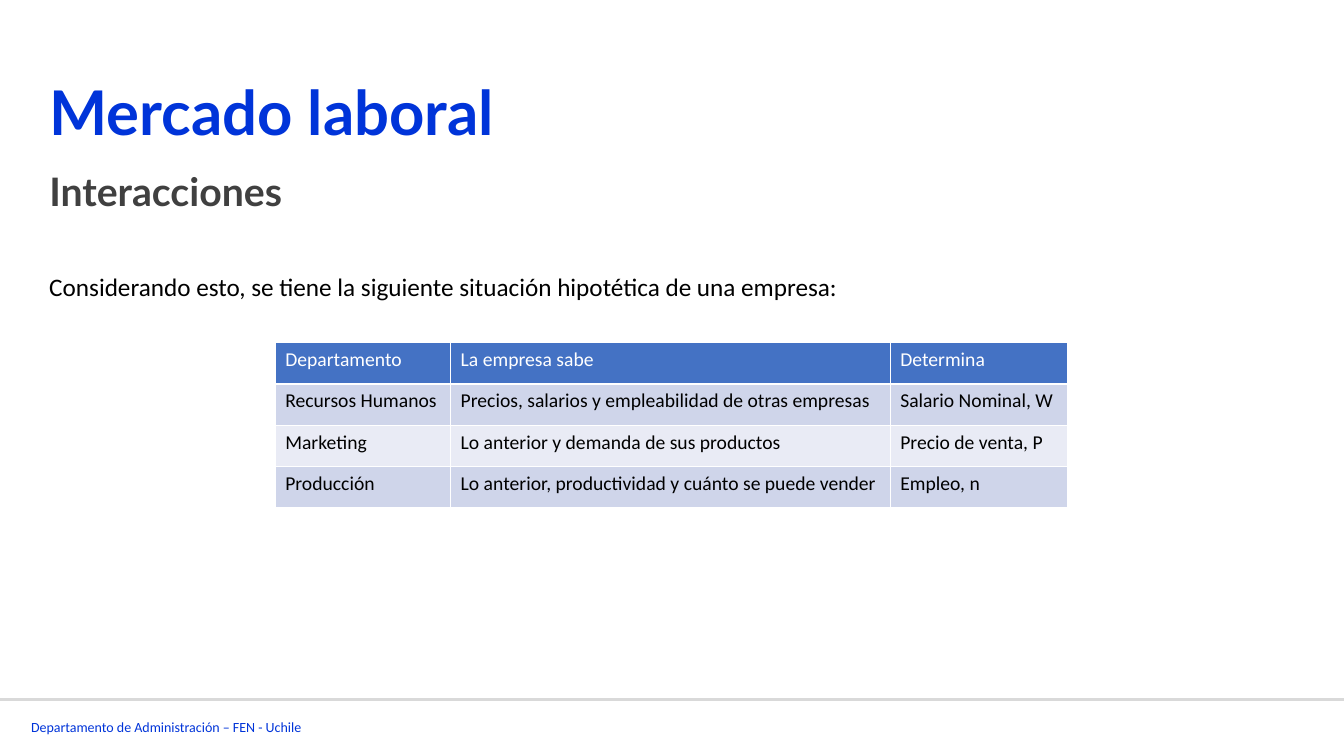
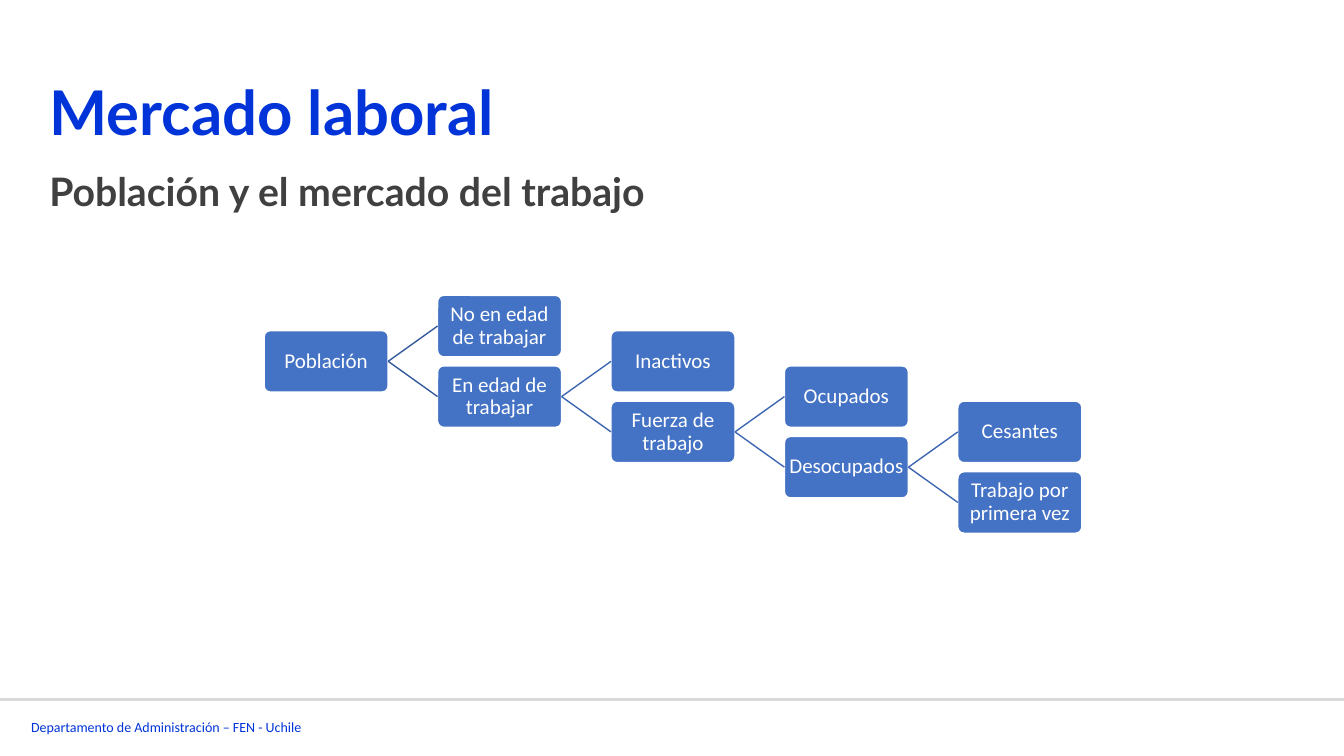
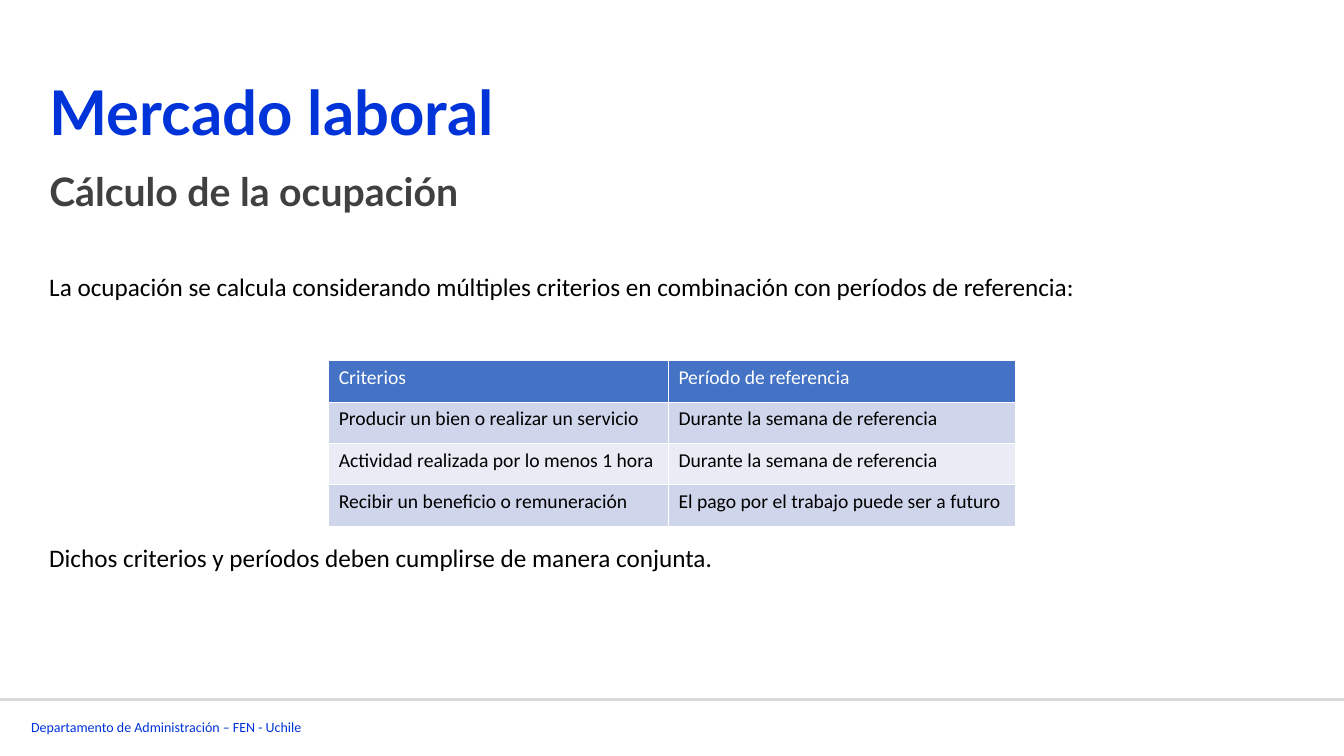
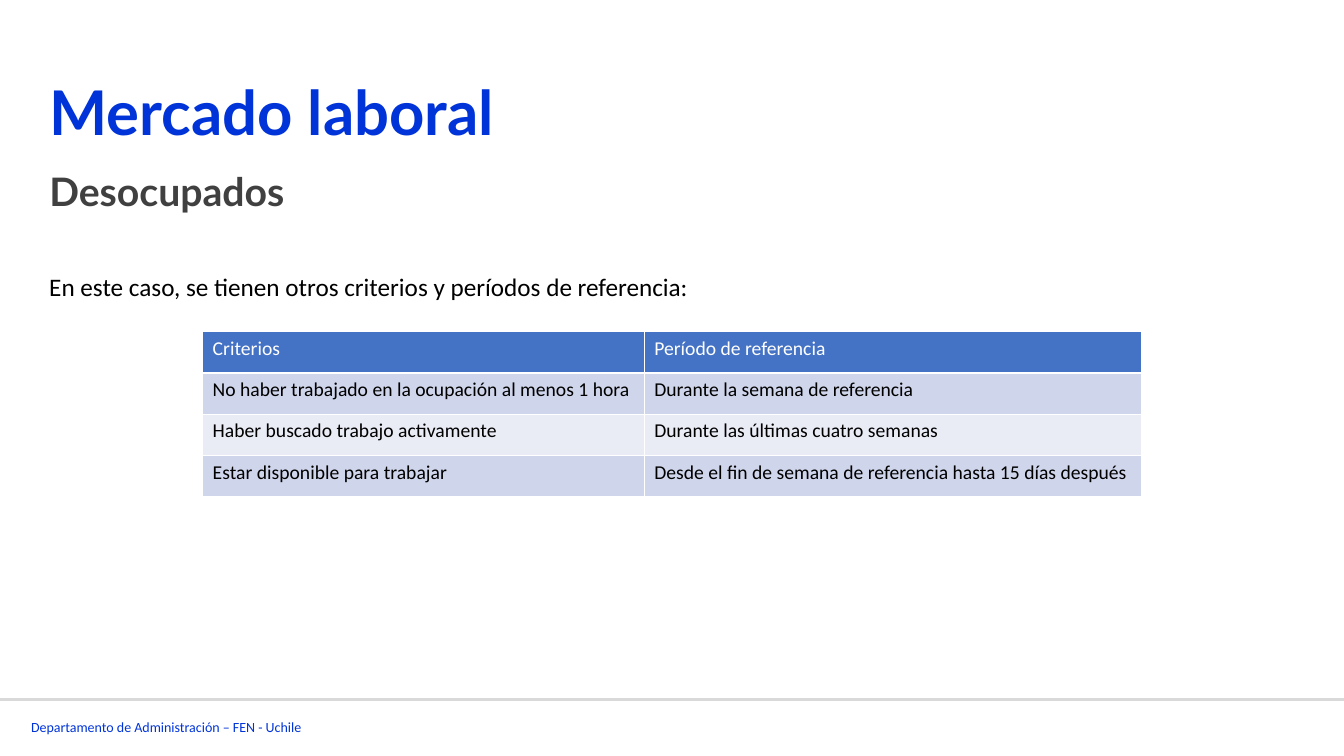
import pptx
import pptx.dml.color
import pptx.enum.shapes
import pptx.enum.text
import pptx.oxml
import pptx.oxml.ns
import pptx.util
from lxml import etree

Inches = pptx.util.Inches
Pt = pptx.util.Pt
ALIGN = pptx.enum.text.PP_ALIGN
ANCHOR = pptx.enum.text.MSO_ANCHOR

BLUE = "0034D9"
DARK = "404040"
BLACK = "000000"
WHITE = "FFFFFF"
RULE = "D9D9D9"
ACCENT = "4472C4"
BANDS = ["CFD5EA", "E9EBF5"]
FIRST_BRANCH = "365B9D"
BRANCH = "3E67B2"
TITLE_FONT = "Lato"
BODY_FONT = "Calibri"

ROW_HEIGHT = 0.41
BOX_WIDTH, BOX_HEIGHT = 1.23, 0.61
TREE_LEFT, TREE_TOP = 2.62, 2.93
LEVEL_STEP, HALF_ROW = 1.72, 0.35


def rgb(value):
    return pptx.dml.color.RGBColor.from_string(value)


def write_text(frame, text, size=18, font=BODY_FONT, color=BLACK, bold=False,
               align=ALIGN.LEFT, anchor=ANCHOR.TOP, spacing=None, gap=0):
    frame.word_wrap = True
    frame.vertical_anchor = anchor
    for index, line in enumerate(text.split("\n")):
        paragraph = frame.add_paragraph() if index else frame.paragraphs[0]
        paragraph.alignment = align
        if spacing:
            paragraph.line_spacing = spacing
        if index:
            paragraph.space_before = Pt(gap)
        run = paragraph.add_run()
        run.text = line
        run.font.size = Pt(size)
        run.font.name = font
        run.font.bold = bold
        run.font.color.rgb = rgb(color)


def add_text(slide, left, top, width, height, text, **style):
    shape = slide.shapes.add_textbox(
        Inches(left), Inches(top), Inches(width), Inches(height))
    write_text(shape.text_frame, text, **style)


def add_line(slide, start, end, color, width):
    line = slide.shapes.add_connector(
        pptx.enum.shapes.MSO_CONNECTOR.STRAIGHT,
        Inches(start[0]), Inches(start[1]), Inches(end[0]), Inches(end[1]))
    line.line.color.rgb = rgb(color)
    line.line.width = Pt(width)
    etree.SubElement(line._element.spPr, pptx.oxml.ns.qn("a:effectLst"))
    return line


def add_slide(presentation, subtitle, body=None, gap=0):
    slide = presentation.slides.add_slide(presentation.slide_layouts[6])
    add_text(slide, 0.21, 7.08, 3.54, 0.27,
             "Departamento de Administración – FEN - Uchile", size=10, color=BLUE)
    add_line(slide, (-0.16, 6.94), (13.49, 6.94), RULE, 0)
    add_text(slide, 0.39, 0.57, 12.06, 1.05, "Mercado laboral", size=44,
             font=TITLE_FONT, color=BLUE, bold=True, anchor=ANCHOR.MIDDLE)
    add_text(slide, 0.39, 1.51, 9.12, 0.77, subtitle, size=28,
             font=TITLE_FONT, color=DARK, bold=True, anchor=ANCHOR.MIDDLE)
    if body:
        add_text(slide, 0.39, 2.64, 12.6, 2.95, body, gap=gap)
    return slide


def set_borders(cell, color, width):
    properties = cell._tc.get_or_add_tcPr()
    for side in ("lnL", "lnR", "lnT", "lnB"):
        properties.append(pptx.oxml.parse_xml(
            f'<a:{side} {pptx.oxml.ns.nsdecls("a")} w="{Pt(width)}">'
            f'<a:solidFill><a:srgbClr val="{color}"/></a:solidFill></a:{side}>'))


def add_table(slide, left, top, widths, rows):
    table = slide.shapes.add_table(
        len(rows), len(widths), Inches(left), Inches(top),
        Inches(sum(widths)), Inches(ROW_HEIGHT * len(rows))).table
    table.first_row = False
    table.horz_banding = False
    for column, width in zip(table.columns, widths):
        column.width = Inches(width)
    for row_index, texts in enumerate(rows):
        header = row_index == 0
        table.rows[row_index].height = Inches(ROW_HEIGHT)
        for column_index, text in enumerate(texts):
            cell = table.cell(row_index, column_index)
            set_borders(cell, WHITE, 1)
            cell.fill.solid()
            cell.fill.fore_color.rgb = rgb(ACCENT if header else BANDS[(row_index - 1) % 2])
            write_text(cell.text_frame, text, size=14, color=WHITE if header else BLACK)


def add_tree_box(slide, level, row, text):
    box = slide.shapes.add_shape(
        pptx.enum.shapes.MSO_SHAPE.ROUNDED_RECTANGLE,
        Inches(TREE_LEFT + level * LEVEL_STEP), Inches(TREE_TOP + row * HALF_ROW),
        Inches(BOX_WIDTH), Inches(BOX_HEIGHT))
    box.adjustments[0] = 0.1
    box.shadow.inherit = False
    box.fill.solid()
    box.fill.fore_color.rgb = rgb(ACCENT)
    box.line.color.rgb = rgb(WHITE)
    box.line.width = Pt(1)
    frame = box.text_frame
    frame.margin_left = frame.margin_right = Inches(0.01)
    frame.margin_top = frame.margin_bottom = Inches(0.01)
    write_text(frame, text, size=15, color=WHITE, align=ALIGN.CENTER,
               anchor=ANCHOR.MIDDLE, spacing=0.9)
    return box


def add_tree(slide, root, levels):
    parent = add_tree_box(slide, 0, 1, root)
    for level, (upper, lower) in enumerate(levels, start=1):
        children = [add_tree_box(slide, level, level - 1, upper),
                    add_tree_box(slide, level, level + 1, lower)]
        for child in children:
            branch = add_line(slide, (0, 0), (1, 1),
                              FIRST_BRANCH if level == 1 else BRANCH, 1)
            branch.begin_connect(parent, 3)
            branch.end_connect(child, 1)
        parent = children[1]


def main():
    presentation = pptx.Presentation()
    presentation.slide_width = Inches(13.33)
    presentation.slide_height = Inches(7.5)

    slide = add_slide(
        presentation, "Interacciones",
        "Considerando esto, se tiene la siguiente situación hipotética de una empresa:")
    add_table(slide, 2.73, 3.4, [1.74, 4.36, 1.76], [
        ["Departamento", "La empresa sabe", "Determina"],
        ["Recursos Humanos", "Precios, salarios y empleabilidad de otras empresas",
         "Salario Nominal, W"],
        ["Marketing", "Lo anterior y demanda de sus productos", "Precio de venta, P"],
        ["Producción", "Lo anterior, productividad y cuánto se puede vender", "Empleo, n"],
    ])

    slide = add_slide(presentation, "Población y el mercado del trabajo")
    add_tree(slide, "Población", [
        ("No en edad de trabajar", "En edad de trabajar"),
        ("Inactivos", "Fuerza de trabajo"),
        ("Ocupados", "Desocupados"),
        ("Cesantes", "Trabajo por primera vez"),
    ])

    slide = add_slide(
        presentation, "Cálculo de la ocupación",
        "La ocupación se calcula considerando múltiples criterios en combinación "
        "con períodos de referencia:\n"
        "Dichos criterios y períodos deben cumplirse de manera conjunta.", gap=172)
    add_table(slide, 3.26, 3.58, [3.37, 3.44], [
        ["Criterios", "Período de referencia"],
        ["Producir un bien o realizar un servicio", "Durante la semana de referencia"],
        ["Actividad realizada por lo menos 1 hora", "Durante la semana de referencia"],
        ["Recibir un beneficio o remuneración", "El pago por el trabajo puede ser a futuro"],
    ])

    slide = add_slide(
        presentation, "Desocupados",
        "En este caso, se tienen otros criterios y períodos de referencia:")
    add_table(slide, 2.01, 3.29, [4.38, 4.93], [
        ["Criterios", "Período de referencia"],
        ["No haber trabajado en la ocupación al menos 1 hora",
         "Durante la semana de referencia"],
        ["Haber buscado trabajo activamente", "Durante las últimas cuatro semanas"],
        ["Estar disponible para trabajar",
         "Desde el fin de semana de referencia hasta 15 días después"],
    ])

    presentation.save("out.pptx")


if __name__ == "__main__":
    main()
